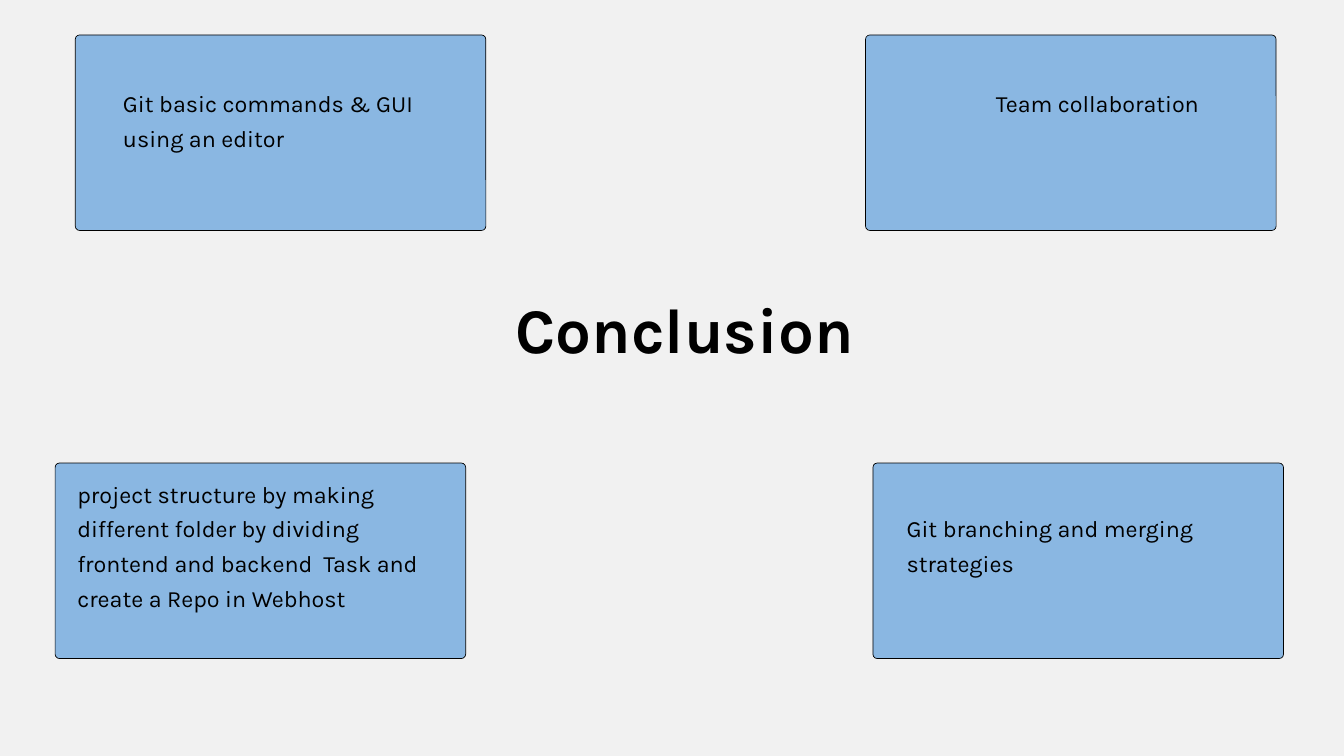
from dataclasses import dataclass

from pptx import Presentation
from pptx.dml.color import RGBColor
from pptx.enum.shapes import MSO_SHAPE
from pptx.enum.text import PP_ALIGN
from pptx.util import Inches, Pt

ROUNDED = MSO_SHAPE.ROUNDED_RECTANGLE
LEFT, CENTER = PP_ALIGN.LEFT, PP_ALIGN.CENTER


@dataclass(frozen=True)
class Theme:
    """Colours, font and type sizes of the slide."""
    back: RGBColor = RGBColor(0xF1, 0xF1, 0xF1)
    card: RGBColor = RGBColor(0x8A, 0xB7, 0xE2)
    ink: RGBColor = RGBColor(0, 0, 0)
    font: str = "Karla"
    body: float = 25
    body_line: float = 37.2
    title: float = 68
    title_line: float = 66


THEME = Theme()
CARD_W, CARD_H, RADIUS = 6.11, 2.91, 0.065
TOP_ROW, LOW_ROW = 0.52, 6.89

# Each card: left, top, text box (offset x, offset y, width, height), words
CARDS = [
    (12.88, TOP_ROW, (1.94, 0.71, 3.08, 1.51), "Team collaboration"),
    (1.12, TOP_ROW, (0.71, 0.71, 4.69, 1.51),
     "Git basic commands & GUI using an editor"),
    (0.82, LOW_ROW, (0.33, 0.15, 5.46, 2.53),
     "project structure by making different folder by dividing "
     "frontend and backend  Task and create a Repo in Webhost"),
    (12.99, LOW_ROW, (0.5, 0.66, 5.11, 1.51),
     "Git branching and merging strategies"),
]


def add_text(slide, box, words, size, line, bold=False, align=LEFT):
    """Place one paragraph of text in the given box."""
    frame = slide.shapes.add_textbox(*map(Inches, box)).text_frame
    frame.word_wrap = True
    frame.margin_left = frame.margin_right = 0
    frame.margin_top = frame.margin_bottom = 0
    para = frame.paragraphs[0]
    para.text = words
    para.alignment = align
    para.line_spacing = Pt(line)
    para.font.name = THEME.font
    para.font.size = Pt(size)
    para.font.bold = bold
    para.font.color.rgb = THEME.ink


def add_card(slide, left, top, inner, words):
    """Draw a rounded card with its text placed relative to the corner."""
    box = (left, top, CARD_W, CARD_H)
    card = slide.shapes.add_shape(ROUNDED, *map(Inches, box))
    card.adjustments[0] = RADIUS / CARD_H
    card.shadow.inherit = False
    card.fill.solid()
    card.fill.fore_color.rgb = THEME.card
    card.line.color.rgb = THEME.ink
    card.line.width = Pt(0.75)
    dx, dy, width, height = inner
    add_text(slide, (left + dx, top + dy, width, height), words,
             THEME.body, THEME.body_line)


def add_title(slide, box):
    """Place the slide title in the given box."""
    add_text(slide, box, "Conclusion", THEME.title, THEME.title_line,
             bold=True, align=CENTER)


def main():
    """Build the conclusion slide and save it."""
    deck = Presentation()
    deck.slide_width, deck.slide_height = Inches(20), Inches(11.25)
    slide = deck.slides.add_slide(deck.slide_layouts[6])
    slide.background.fill.solid()
    slide.background.fill.fore_color.rgb = THEME.back
    for card in CARDS:
        add_card(slide, *card)
    add_title(slide, (7.39, 4.53, 5.6, 1.84))
    deck.save("out.pptx")


if __name__ == "__main__":
    main()
